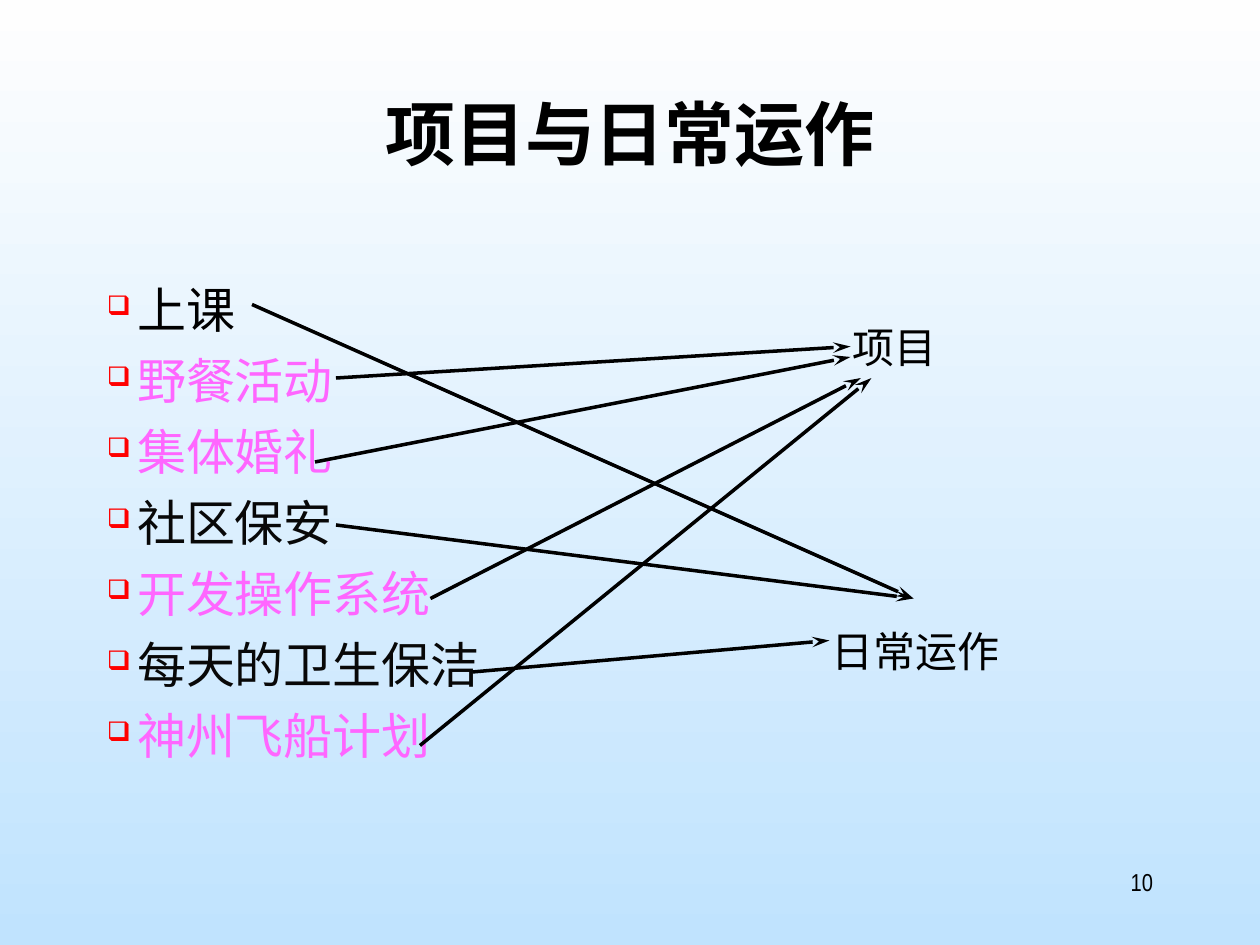
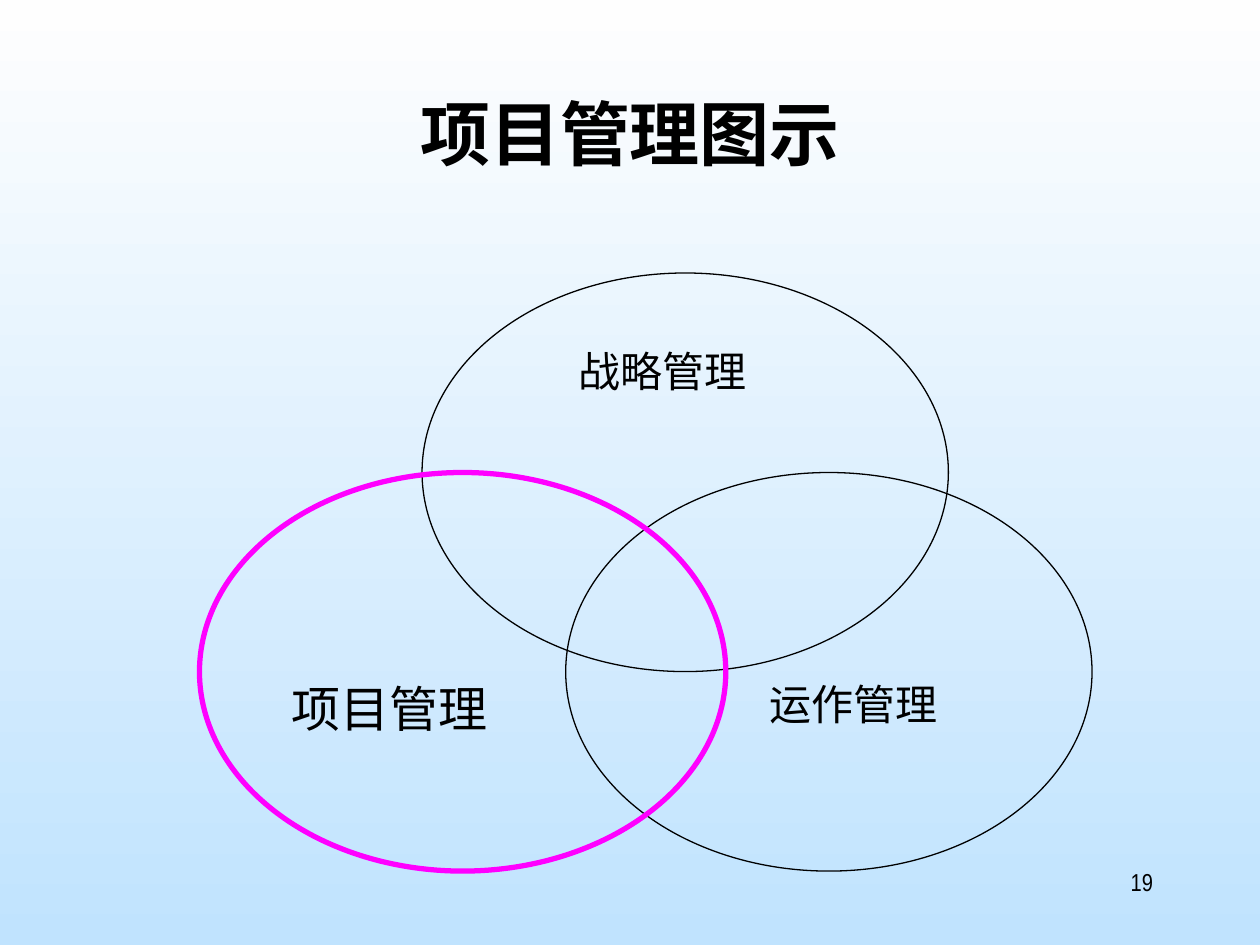
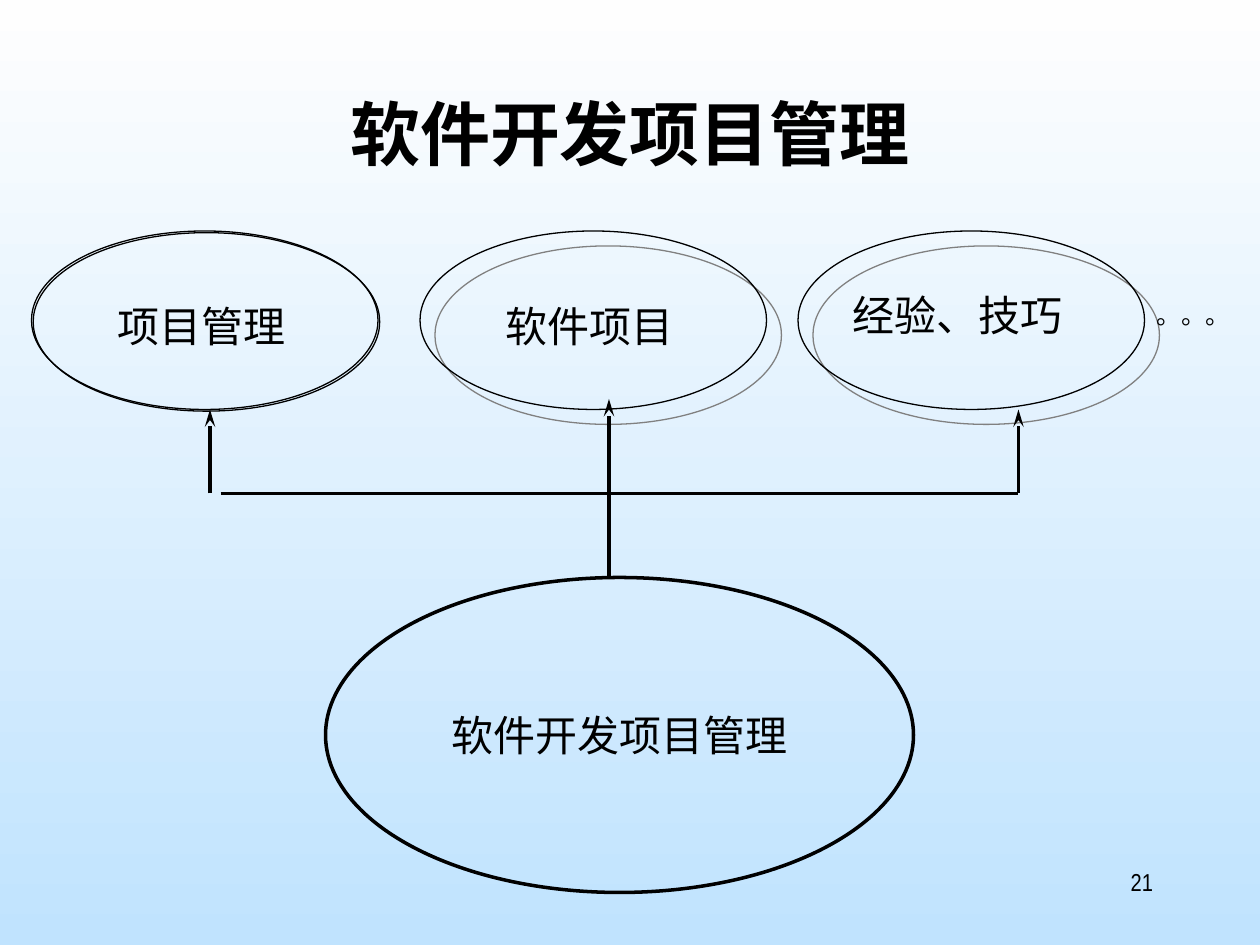
from dataclasses import dataclass

from lxml import etree
from pptx import Presentation
from pptx.dml.color import RGBColor
from pptx.enum import shapes, text
from pptx.oxml import ns
from pptx.util import Pt


@dataclass(frozen=True)
class Theme:
    sky_top: str = "FEFEFE"
    sky_bottom: str = "C0E3FE"
    ink: str = "000000"
    soft_ink: str = "080808"
    project: str = "FF66FF"
    highlight: str = "FF00FF"
    bullet: str = "FF0000"
    shade: str = "808080"
    heading_font: str = "Noto Sans CJK SC"
    label_font: str = "Arial Narrow"
    diagram_font: str = "Times New Roman"
    title_size: int = 40
    large_size: int = 28
    label_size: int = 24
    small_size: int = 14
    thin: float = 0.75
    medium: float = 2
    thick: float = 3


THEME = Theme()
LEFT, CENTER, RIGHT, JUSTIFY = (
    text.PP_ALIGN.LEFT, text.PP_ALIGN.CENTER, text.PP_ALIGN.RIGHT, text.PP_ALIGN.JUSTIFY)


def add_xml(parent, tag, **attributes):
    return etree.SubElement(parent, ns.qn(tag), attributes)


# Text
def style_paragraph(paragraph, size, font, color=THEME.ink, bold=False, align=LEFT):
    paragraph.alignment = align
    for run in paragraph.runs:
        run.font.size = Pt(size)
        run.font.bold = bold
        run.font.color.rgb = RGBColor.from_string(color)
        run.font.name = font
        add_xml(run.font._element, "a:ea", typeface=THEME.heading_font)


def add_label(slide, words, box, size=THEME.label_size, font=THEME.label_font, **style):
    label = slide.shapes.add_textbox(*map(Pt, box))
    label.text_frame.word_wrap = True
    label.text_frame.text = words
    style_paragraph(label.text_frame.paragraphs[0], size, font, **style)


def add_bullets(slide, items, box):
    frame = slide.shapes.add_textbox(*map(Pt, box)).text_frame
    frame.word_wrap = True
    frame.text = "\n".join(words for words, _ in items)
    indent = Pt(17.25)
    for paragraph, (_, color) in zip(frame.paragraphs, items):
        style_paragraph(paragraph, THEME.large_size, THEME.heading_font, color)
        paragraph.space_before = Pt(7)
        properties = paragraph._p.get_or_add_pPr()
        properties.set("marL", str(indent))
        properties.set("indent", str(-indent))
        add_xml(add_xml(properties, "a:buClr"), "a:srgbClr", val=THEME.bullet)
        add_xml(properties, "a:buSzPct", val="55000")
        add_xml(properties, "a:buChar", char="❑")


# Outlines and lines
def style_line(line, color, width):
    line.color.rgb = RGBColor.from_string(color)
    line.width = Pt(width)


def add_ellipse(slide, box, width=THEME.thin, color=THEME.ink, shadow=None):
    ellipse = slide.shapes.add_shape(shapes.MSO_SHAPE.OVAL, *map(Pt, box))
    ellipse.fill.background()
    style_line(ellipse.line, color, width)
    ellipse.shadow.inherit = False
    if shadow:
        shade, distance = shadow
        effects = ellipse._element.spPr.find(ns.qn("a:effectLst"))
        outer = add_xml(effects, "a:outerShdw", dist=str(Pt(distance)),
                        dir="2700000", algn="ctr", rotWithShape="0")
        add_xml(outer, "a:srgbClr", val=shade)
    return ellipse


def add_line(slide, start, end, arrow=True):
    line = slide.shapes.add_connector(
        shapes.MSO_CONNECTOR.STRAIGHT, *map(Pt, (*start, *end)))
    style_line(line.line, THEME.ink, THEME.medium)
    if arrow:
        add_xml(line.line._get_or_add_ln(), "a:tailEnd", type="stealth", w="med", len="lg")
    add_xml(line._element.spPr, "a:effectLst")


# Shared background, title and page number
def paint_background(deck):
    fill = deck.slide_master.background.fill
    fill.gradient()
    fill.gradient_angle = 270
    for stop, color in zip(fill.gradient_stops, (THEME.sky_top, THEME.sky_bottom)):
        stop.color.rgb = RGBColor.from_string(color)


def add_slide(deck, title, number):
    slide = deck.slides.add_slide(deck.slide_layouts[6])
    add_label(slide, title, (54, 48, 612, 90), THEME.title_size,
              THEME.heading_font, bold=True, align=CENTER)
    add_label(slide, number, (516, 492, 150, 36), THEME.small_size, align=RIGHT)
    return slide


def build_matching(deck):
    slide = add_slide(deck, "项目与日常运作", "10")
    activities = [
        ("上课", THEME.ink),
        ("野餐活动", THEME.project),
        ("集体婚礼", THEME.project),
        ("社区保安", THEME.soft_ink),
        ("开发操作系统", THEME.project),
        ("每天的卫生保洁", THEME.soft_ink),
        ("神州飞船计划", THEME.project),
    ]
    add_bullets(slide, activities, (54, 156, 300, 324))
    add_label(slide, "日常运作", (468, 354, 156, 36))
    add_label(slide, "项目", (480, 180, 156, 36))

    # One arrow per activity, in list order
    matches = [
        ((144, 174), (522, 342)),
        ((192, 216), (486, 198)),
        ((180, 264), (486, 204)),
        ((192, 300), (522, 342)),
        ((246, 342), (492, 216)),
        ((270, 384), (474, 366)),
        ((240, 426), (498, 216)),
    ]
    for start, end in matches:
        add_line(slide, start, end)


def build_venn(deck):
    slide = add_slide(deck, "项目管理图示", "19")
    circle = (300.75, 227.75)
    add_ellipse(slide, (241.2, 156, *circle))
    add_ellipse(slide, (323.3, 270, *circle))
    add_ellipse(slide, (114, 270, *circle), THEME.thick, THEME.highlight)
    for words, left, top, size in (
        ("战略管理", 323.3, 193.7, THEME.label_size),
        ("项目管理", 159.4, 384, THEME.large_size),
        ("运作管理", 432.7, 384, THEME.label_size),
    ):
        add_label(slide, words, (left, top, 164, 57), size, THEME.diagram_font, align=JUSTIFY)


def build_hierarchy(deck):
    slide = add_slide(deck, "软件开发项目管理", "21")

    # Combined discipline
    whole = add_ellipse(slide, (186, 330, 336, 180), THEME.medium)
    whole.text_frame.text = "软件开发项目管理"
    whole.text_frame.word_wrap = False
    whole.text_frame.vertical_anchor = text.MSO_ANCHOR.MIDDLE
    style_paragraph(whole.text_frame.paragraphs[0], THEME.label_size,
                    THEME.label_font, align=CENTER)

    # Its ingredients
    far_shadow = (THEME.shade, 12.1)
    for words, left, shadow, label_box in (
        ("项目管理", 18, (THEME.ink, 1.4), (60, 168, 126, 36)),
        ("软件项目", 240, far_shadow, (282, 168, 126, 36)),
        ("经验、技巧", 456, far_shadow, (480, 162, 150, 36)),
    ):
        add_ellipse(slide, (left, 132, 198, 102), shadow=shadow)
        add_label(slide, words, label_box)
    add_label(slide, "。。。", (654, 168, 66, 24), THEME.small_size)

    # Branching arrows
    branch = 282
    add_line(slide, (126, branch), (582, branch), arrow=False)
    for x, bottom, top in ((120, branch, 234), (348, 330, 228), (582, branch, 234)):
        add_line(slide, (x, bottom), (x, top))


def main():
    deck = Presentation()
    deck.slide_width, deck.slide_height = Pt(720), Pt(540)
    paint_background(deck)
    build_matching(deck)
    build_venn(deck)
    build_hierarchy(deck)
    deck.save("out.pptx")


if __name__ == "__main__":
    main()
